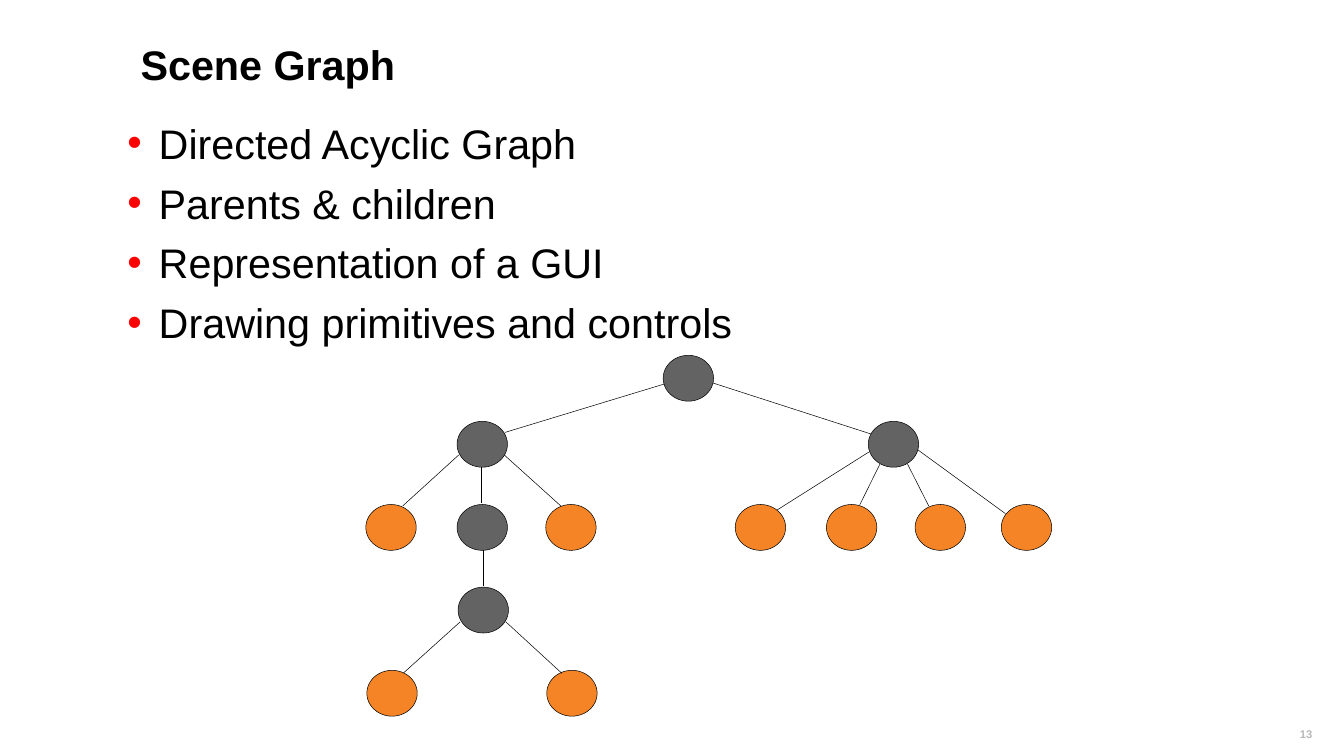
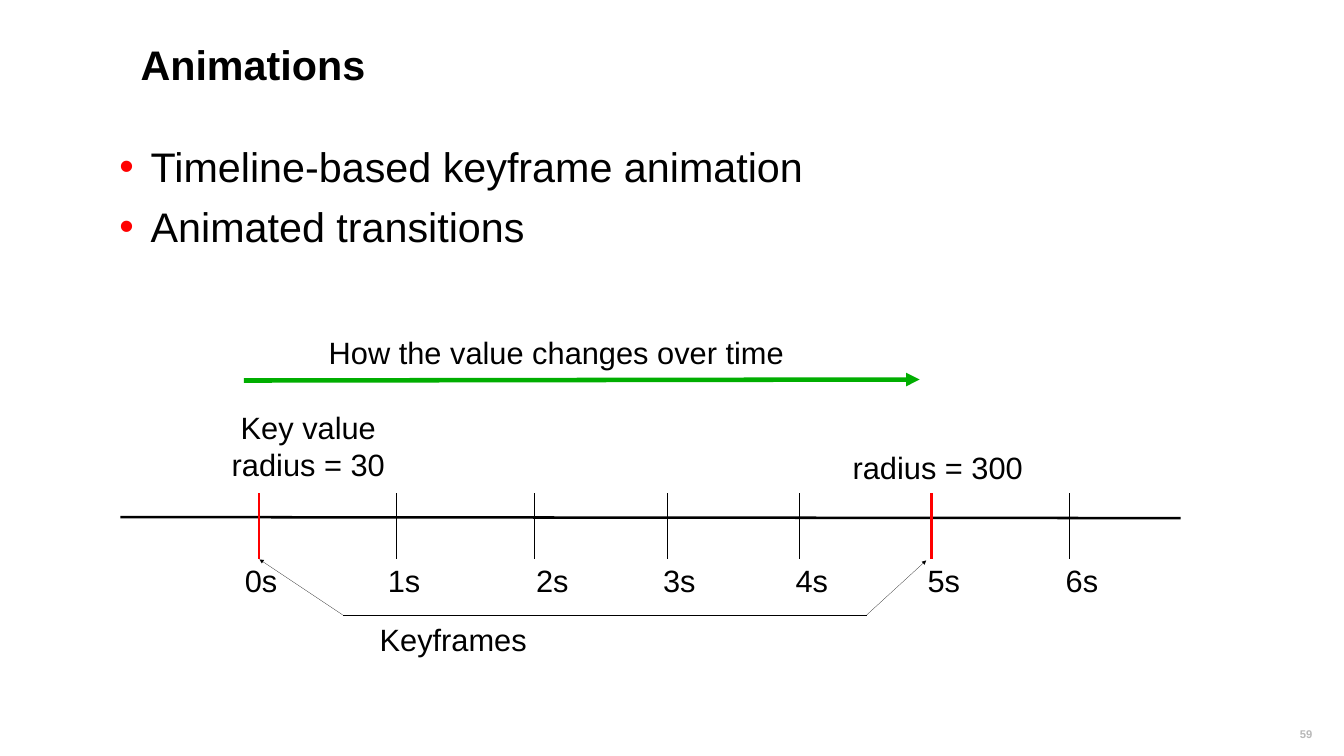
from lxml import etree
from pptx import Presentation
from pptx.dml.color import RGBColor
from pptx.enum.shapes import MSO_CONNECTOR, MSO_SHAPE
from pptx.enum.text import MSO_ANCHOR, PP_ALIGN
from pptx.oxml.ns import qn
from pptx.util import Inches, Pt

STRAIGHT = MSO_CONNECTOR.STRAIGHT
ELLIPSE = MSO_SHAPE.OVAL
TOP, MIDDLE = MSO_ANCHOR.TOP, MSO_ANCHOR.MIDDLE
LEFT, CENTER, RIGHT = PP_ALIGN.LEFT, PP_ALIGN.CENTER, PP_ALIGN.RIGHT

FONT = "Arial"
COLORS = {
    "text": "000000",
    "number": "B8B8B8",
    "accent": "FF0000",
    "branch": "636363",
    "leaf": "F48426",
    "change": "00AE00",
}
HEADING_SIZE, LABEL_SIZE, NUMBER_SIZE = 59, 44, 16
HAIRLINE, THIN, THICK, HEAVY = 0.25, 0.75, 3.6, 6.5
NO_INSETS = (0, 0, 0, 0)
HEADING_INSETS = (0.06, 0.06, 0.18, 0.06)
LABEL_INSETS = (0.1, 0.05, 0.1, 0.05)
BULLET_INDENT = 0.62
NODE_WIDTH, NODE_HEIGHT = 1, 0.91


def rgb(name):
    return RGBColor.from_string(COLORS[name])


class Deck:
    """Holds the shared style and the slide being built."""

    def __init__(self):
        self.prs = Presentation()
        self.prs.slide_width = Inches(26.67)
        self.prs.slide_height = Inches(15)
        self.slide = None

    def new_slide(self, title, number):
        self.slide = self.prs.slides.add_slide(self.prs.slide_layouts[6])
        self.text([str(number)], 24.14, 14.42, 2, 0.34, NUMBER_SIZE, "number",
                  bold=True, align=RIGHT, line_spacing=0.9)
        heading = self.text([title], 2.67, 0.66, 21.33, 1.22, HEADING_SIZE,
                            bold=True, insets=HEADING_INSETS, anchor=MIDDLE)
        heading.paragraphs[0]._p.get_or_add_pPr().set("marL", str(Inches(0.06)))

    def text(self, lines, left, top, width, height, size, color="text", bold=False,
             align=LEFT, insets=LABEL_INSETS, anchor=TOP, line_spacing=None, gap=0):
        box = self.slide.shapes.add_textbox(
            Inches(left), Inches(top), Inches(width), Inches(height))
        frame = box.text_frame
        frame.word_wrap = True
        frame.vertical_anchor = anchor
        (frame.margin_left, frame.margin_top,
         frame.margin_right, frame.margin_bottom) = map(Inches, insets)
        frame.text = "\n".join(lines)
        for index, paragraph in enumerate(frame.paragraphs):
            paragraph.alignment = align
            paragraph.line_spacing = line_spacing
            if index:
                paragraph.space_before = Pt(gap)
            font = paragraph.runs[0].font
            font.name, font.size, font.bold = FONT, Pt(size), bold
            font.color.rgb = rgb(color)
        return frame

    def bullets(self, lines, left, top, width, height, insets):
        frame = self.text(lines, left, top, width, height, HEADING_SIZE,
                          insets=insets, gap=14.7)
        for paragraph in frame.paragraphs:
            properties = paragraph._p.get_or_add_pPr()
            properties.set("marL", str(Inches(BULLET_INDENT)))
            properties.set("indent", str(-Inches(BULLET_INDENT)))
            bullet_color = etree.SubElement(properties, qn("a:buClr"))
            etree.SubElement(bullet_color, qn("a:srgbClr"), val=COLORS["accent"])
            etree.SubElement(properties, qn("a:buFont"), typeface=FONT)
            etree.SubElement(properties, qn("a:buChar"), char="•")

    def label(self, lines, left, top, width, height=0.8):
        self.text(lines, left, top, width, height, LABEL_SIZE,
                  align=CENTER, line_spacing=0.9, gap=5)

    def line(self, x1, y1, x2, y2, color="text", width=THIN, arrow=False):
        connector = self.slide.shapes.add_connector(
            STRAIGHT, Inches(x1), Inches(y1), Inches(x2), Inches(y2))
        connector.line.color.rgb = rgb(color)
        connector.line.width = Pt(width)
        if arrow:
            etree.SubElement(connector.line._get_or_add_ln(), qn("a:tailEnd"),
                             type="triangle")
        etree.SubElement(connector._element.spPr, qn("a:effectLst"))

    def node(self, left, top, kind):
        ellipse = self.slide.shapes.add_shape(
            ELLIPSE, Inches(left), Inches(top), Inches(NODE_WIDTH), Inches(NODE_HEIGHT))
        ellipse.shadow.inherit = False
        ellipse.fill.solid()
        ellipse.fill.fore_color.rgb = rgb(kind)
        ellipse.line.color.rgb = rgb("text")
        ellipse.line.width = Pt(THIN)


def scene_graph(deck):
    deck.new_slide("Scene Graph", 13)
    tree_levels = [
        (7.05, {"branch": [13.16]}),
        (8.36, {"branch": [9.07, 17.23]}),
        (10.01, {"branch": [9.07], "leaf": [7.26, 10.83, 14.59, 16.4, 18.16, 19.87]}),
        (11.65, {"branch": [9.09]}),
        (13.3, {"leaf": [7.28, 10.85]}),
    ]
    for top, kinds in tree_levels:
        for kind, lefts in kinds.items():
            for left in lefts:
                deck.node(left, top, kind)

    parent_child_edges = [
        (13.18, 7.62, 10.02, 8.58), (14.15, 7.6, 17.28, 8.61),
        (9.1, 9.03, 7.99, 10.04), (9.56, 9.27, 9.56, 9.99),
        (10.01, 9.03, 11.13, 10.04),
        (17.24, 8.97, 15.42, 10.12), (17.46, 9.21, 17.06, 10.02),
        (18.01, 9.21, 18.43, 10.04), (18.22, 8.93, 19.95, 10.19),
        (9.59, 10.92, 9.59, 11.63),
        (9.13, 12.34, 8.01, 13.35), (10.04, 12.34, 11.15, 13.36),
    ]
    for edge in parent_child_edges:
        deck.line(*edge)

    deck.bullets(["Directed Acyclic Graph", "Parents & children",
                  "Representation of a GUI", "Drawing primitives and controls"],
                 2.53, 2.34, 21.98, 10.07, NO_INSETS)


def animations(deck):
    deck.new_slide("Animations", 59)
    deck.bullets(["Timeline-based keyframe animation", "Animated transitions"],
                 2.31, 2.74, 21.98, 10.49, HEADING_INSETS)

    deck.line(2.39, 10.26, 23.43, 10.28, width=THICK)
    keyframe_seconds = (0, 5)
    tick_xs = [5.14, 7.87, 10.6, 13.23, 15.85, 18.48, 21.21]
    second_lefts = [4.37, 7.21, 10.15, 12.67, 15.3, 17.92, 20.66]
    for second, (tick_x, left) in enumerate(zip(tick_xs, second_lefts)):
        is_keyframe = second in keyframe_seconds
        color, width = ("accent", THICK) if is_keyframe else ("text", HAIRLINE)
        deck.line(tick_x, 9.79, tick_x, 11.1, color, width)
        deck.label([f"{second}s"], left, 11.18, 1.62)

    deck.label(["Key value", "radius = 30"], 3.41, 8.14, 5.42, 1.54)
    deck.label(["radius = 300"], 15.9, 8.93, 5.42)
    deck.label(["Keyframes"], 4.77, 12.35, 8.45)

    # The pointers run below the second labels, then rise to the keyframe ticks.
    pointer_y = 12.2
    deck.line(6.8, pointer_y, 5.15, 11.1, width=HAIRLINE, arrow=True)
    deck.line(6.8, pointer_y, 17.2, pointer_y, width=HAIRLINE)
    deck.line(17.2, pointer_y, 18.38, 11.12, width=HAIRLINE, arrow=True)

    deck.line(4.84, 7.55, 18.25, 7.53, "change", HEAVY, arrow=True)
    deck.label(["How the value changes over time"], 5.28, 6.66, 11.53, 1.4)


def main():
    deck = Deck()
    scene_graph(deck)
    animations(deck)
    deck.prs.save("out.pptx")


if __name__ == "__main__":
    main()
